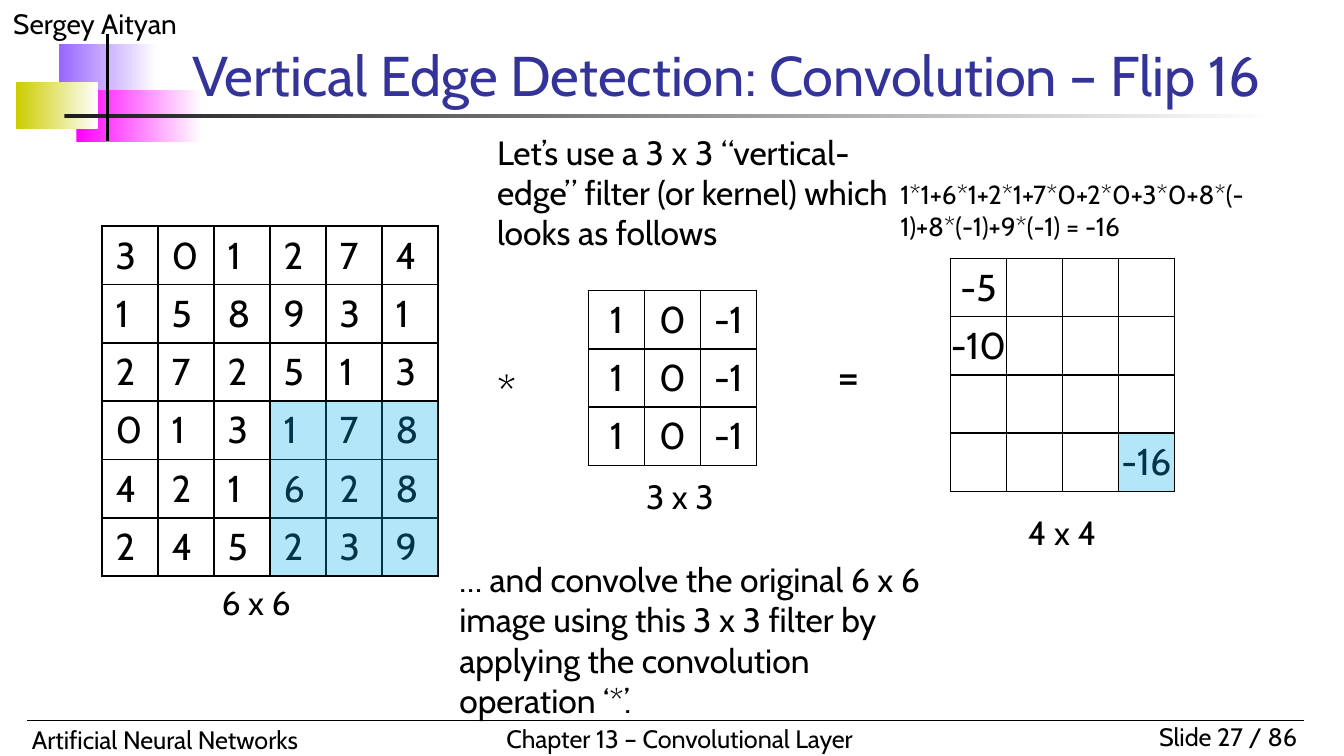
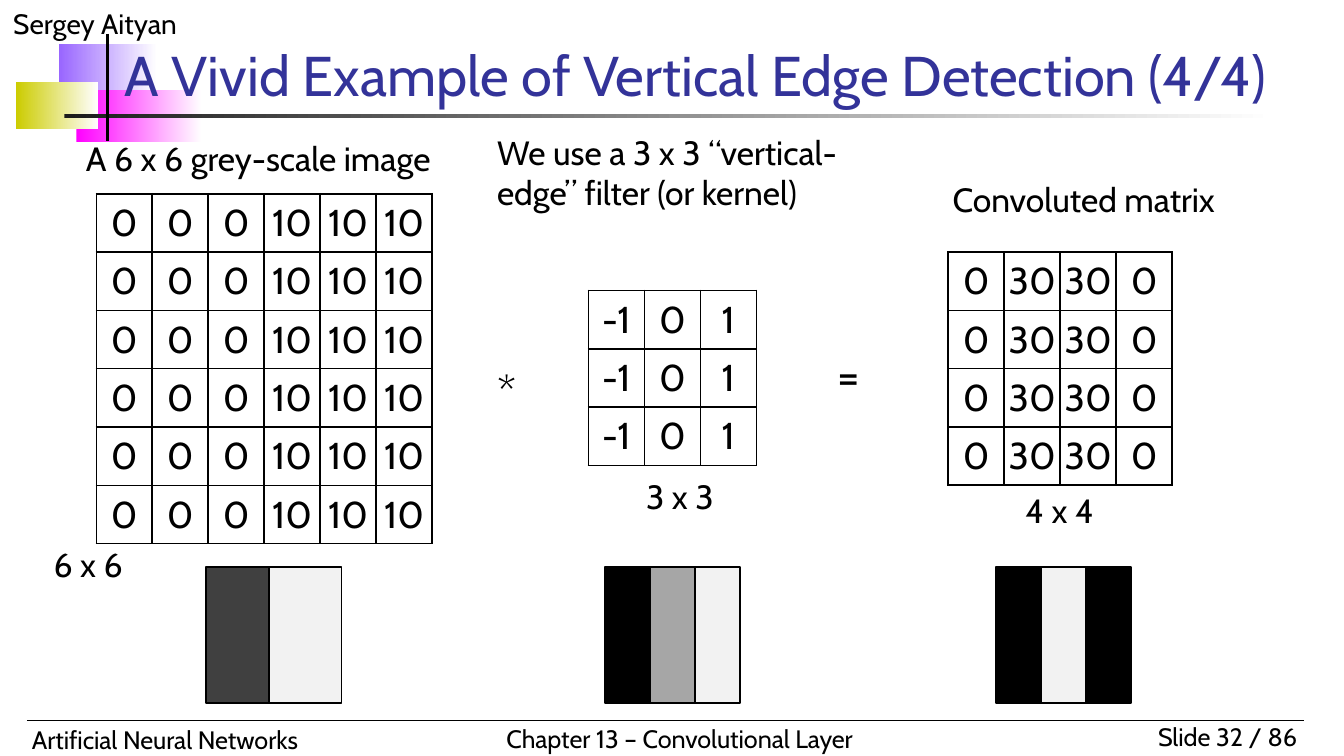
from lxml.etree import SubElement
from pptx import Presentation
from pptx.dml.color import RGBColor
from pptx.enum.shapes import MSO_CONNECTOR as Connector
from pptx.enum.shapes import MSO_SHAPE as Shape
from pptx.enum.text import MSO_ANCHOR as Anchor
from pptx.enum.text import PP_ALIGN as Align
from pptx.oxml.ns import qn
from pptx.util import Pt

FONT = "Cabin"
BLACK = RGBColor(0x00, 0x00, 0x00)
WHITE = RGBColor(0xFF, 0xFF, 0xFF)
TITLE_BLUE = RGBColor(0x33, 0x33, 0x99)
VIOLET = RGBColor(0x99, 0x66, 0xFF)
MAGENTA = RGBColor(0xFF, 0x00, 0xFF)
OLIVE = RGBColor(0xCC, 0xCC, 0x00)
CHARCOAL = RGBColor(0x1C, 0x1C, 0x1C)
HIGHLIGHT = RGBColor(0x00, 0xB0, 0xF0)
DARK_GREY = RGBColor(0x40, 0x40, 0x40)
MID_GREY = RGBColor(0xA6, 0xA6, 0xA6)
LIGHT_GREY = RGBColor(0xF2, 0xF2, 0xF2)

CELL_WIDTH = 30
CELL_HEIGHT = 31.2
STRIP_TOP = 303.8
STRIP_HEIGHT = 72.7


def points(*lengths):
    return [Pt(length) for length in lengths]


def format_paragraph(paragraph, size, color=BLACK, align=Align.LEFT):
    paragraph.alignment = align
    for run in paragraph.runs:
        run.font.name = FONT
        run.font.size = Pt(size)
        run.font.color.rgb = color


def add_text(slide, box, text, size=18, color=BLACK, align=Align.LEFT, anchor=Anchor.TOP):
    text_frame = slide.shapes.add_textbox(*points(*box)).text_frame
    text_frame.word_wrap = True
    text_frame.vertical_anchor = anchor
    text_frame.text = text
    format_paragraph(text_frame.paragraphs[0], size, color, align)


def add_rectangle(shapes, box):
    shape = shapes.add_shape(Shape.RECTANGLE, *points(*box))
    shape.shadow.inherit = False
    return shape


def add_outlined(shapes, box, color, line_width):
    shape = add_rectangle(shapes, box)
    shape.fill.solid()
    shape.fill.fore_color.rgb = color
    shape.line.color.rgb = BLACK
    shape.line.width = Pt(line_width)
    return shape


def add_fade(slide, box, color):
    shape = add_rectangle(slide.shapes, box)
    shape.line.fill.background()
    shape.fill.gradient()
    shape.fill.gradient_angle = 0
    for stop, stop_color in zip(shape.fill.gradient_stops, (color, WHITE)):
        stop.color.rgb = stop_color


def add_line(slide, ends, width):
    connector = slide.shapes.add_connector(Connector.STRAIGHT, *points(*ends))
    connector.line.color.rgb = BLACK
    connector.line.width = Pt(width)
    SubElement(connector._element.spPr, qn("a:effectLst"))


def add_highlight(slide, box):
    shape = add_outlined(slide.shapes, box, HIGHLIGHT, 0.75)
    color = shape.fill._xPr.find(qn("a:solidFill"))[0]
    SubElement(color, qn("a:alpha"), val="30000")


def add_header(slide, title, title_left):
    add_fade(slide, (31.7, 23.8, 52.5, 28), VIOLET)
    add_fade(slide, (41, 48.2, 67, 28), MAGENTA)
    add_fade(slide, (8.6, 43.9, 43.9, 25.2), OLIVE)
    add_fade(slide, (34.5, 61.2, 648, 2), CHARCOAL)
    add_text(slide, (0, 0, 180, 25.2), "Sergey Aityan", 15)
    add_line(slide, (57.6, 18, 57.6, 75.6), 2)
    add_text(slide, (title_left, 22.3, 720 - title_left, 38.9), title, 30, TITLE_BLUE, anchor=Anchor.BOTTOM)


def add_footer(slide, number):
    add_text(slide, (594, 383, 108, 23.8), f"Slide {number} / 86", 13.5, align=Align.RIGHT)
    add_text(slide, (10, 384.5, 250, 23.8), "Artificial Neural Networks", 13.5)
    add_text(slide, (264.2, 383.8, 215.3, 23.8), "Chapter 13 – Convolutional Layer", 13.5)
    add_line(slide, (14.4, 386, 698.4, 386), 0.75)


def format_cell(cell, value, centred):
    properties = cell._tc.get_or_add_tcPr()
    for side in ("lnL", "lnR", "lnT", "lnB"):
        border = SubElement(properties, qn(f"a:{side}"), w=str(Pt(1)))
        fill = SubElement(border, qn("a:solidFill"))
        SubElement(fill, qn("a:srgbClr"), val=str(BLACK))
    cell.fill.background()
    cell.margin_left = cell.margin_right = Pt(0 if centred else 7.2)
    cell.margin_top = cell.margin_bottom = Pt(3.6)
    if value is not None:
        cell.text_frame.text = str(value)
        format_paragraph(cell.text_frame.paragraphs[0], 20, align=Align.CENTER if centred else Align.LEFT)


def add_matrix(slide, left, top, values, caption_offset, centred=True):
    size = len(values)
    width, height = size * CELL_WIDTH, size * CELL_HEIGHT
    table = slide.shapes.add_table(size, size, *points(left, top, width, height)).table
    table.first_row = table.horz_banding = False
    for column in table.columns:
        column.width = Pt(CELL_WIDTH)
    for row, row_values in zip(table.rows, values):
        row.height = Pt(CELL_HEIGHT)
        for cell, value in zip(row.cells, row_values):
            format_cell(cell, value, centred)
    across, below = caption_offset
    add_text(slide, (left + across, top + height + below, 66.2, 28.8), f"{size} x {size}")


def add_filter(slide, introduction, kernel_row):
    add_text(slide, (259.2, 67, 233.3, 72), introduction)
    add_text(slide, (259.2, 191.5, 31.7, 36), "*", 24)
    add_matrix(slide, 315.2, 155.6, [kernel_row] * 3, (23.8, 2))
    add_text(slide, (441.4, 182.9, 31.7, 36), "=", 24)


def add_strip(slide, left, shades, pitch=24.1, width=24.1):
    group = slide.shapes.add_group_shape()
    for index, shade in enumerate(shades):
        add_outlined(group.shapes, (left + index * pitch, STRIP_TOP, width, STRIP_HEIGHT), shade, 1)


def build_flip_slide(slide):
    add_header(slide, "Vertical Edge Detection: Convolution – Flip 16", 95.8)
    add_footer(slide, 27)
    image = [
        [3, 0, 1, 2, 7, 4],
        [1, 5, 8, 9, 3, 1],
        [2, 7, 2, 5, 1, 3],
        [0, 1, 3, 1, 7, 8],
        [4, 2, 1, 6, 2, 8],
        [2, 4, 5, 2, 3, 9],
    ]
    result = [
        [-5, None, None, None],
        [-10, None, None, None],
        [None] * 4,
        [None, None, None, -16],
    ]
    image_left, image_top = 54.8, 121.2
    result_left, result_top = 509.2, 138.4
    add_matrix(slide, image_left, image_top, image, (56.8, 0), centred=False)
    add_filter(
        slide,
        "Let’s use a 3 x 3 “vertical-edge” filter (or kernel) which looks as follows",
        [1, 0, -1],
    )
    add_text(
        slide,
        (239, 295.9, 264.2, 94.3),
        "… and convolve the original 6 x 6 image using this 3 x 3 filter by applying "
        "the convolution operation ‘*’.",
    )
    add_matrix(slide, result_left, result_top, result, (34.4, 7.6))
    for left, top, count in ((image_left, image_top, 3), (result_left, result_top, 1)):
        add_highlight(
            slide,
            (left + 3 * CELL_WIDTH, top + 3 * CELL_HEIGHT, count * CELL_WIDTH, count * CELL_HEIGHT),
        )
    add_text(slide, (475.2, 92.2, 203, 41), "1*1+6*1+2*1+7*0+2*0+3*0+8*(-1)+8*(-1)+9*(-1) = -16", 14)


def build_example_slide(slide):
    add_header(slide, "A Vivid Example of Vertical Edge Detection (4/4)", 59.8)
    add_footer(slide, 32)
    add_text(slide, (38.9, 70.6, 213, 28.8), "A 6 x 6 grey-scale image")
    add_matrix(slide, 51.6, 103.8, [[0] * 3 + [10] * 3] * 6, (-30, -3))
    add_filter(slide, "We use a 3 x 3 “vertical-edge” filter (or kernel)", [-1, 0, 1])
    add_text(slide, (503.3, 92.2, 175, 28.8), "Convoluted matrix")
    add_matrix(slide, 508, 135, [[0, 30, 30, 0]] * 4, (34.2, -0.6))
    add_strip(slide, 324, (BLACK, MID_GREY, LIGHT_GREY))
    add_strip(slide, 110.2, (DARK_GREY, LIGHT_GREY), 33.9, 38.9)
    add_strip(slide, 533.5, (BLACK, LIGHT_GREY, BLACK))


def main():
    presentation = Presentation()
    presentation.slide_width, presentation.slide_height = points(720, 405)
    for build in (build_flip_slide, build_example_slide):
        build(presentation.slides.add_slide(presentation.slide_layouts[6]))
    presentation.save("out.pptx")


if __name__ == "__main__":
    main()
